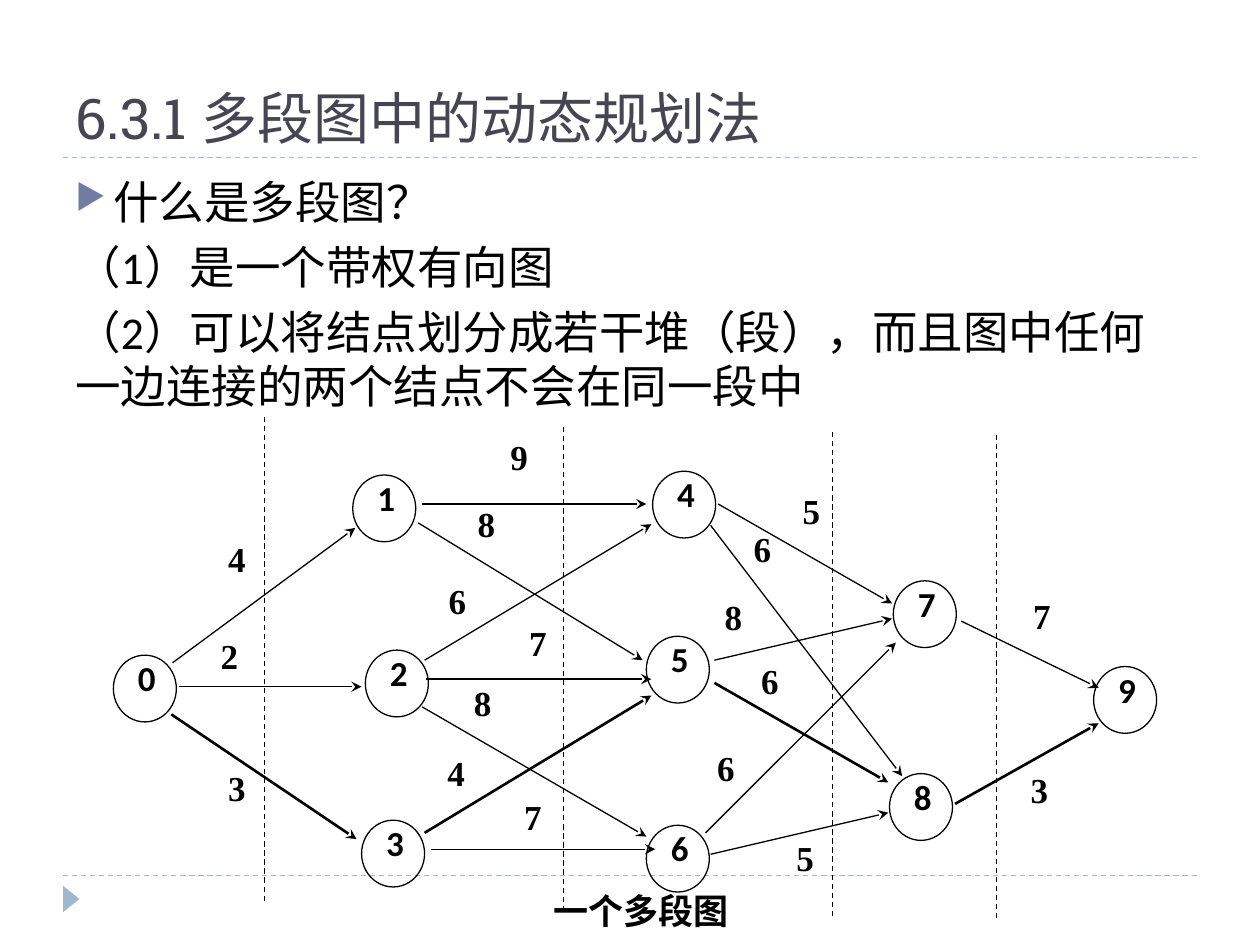
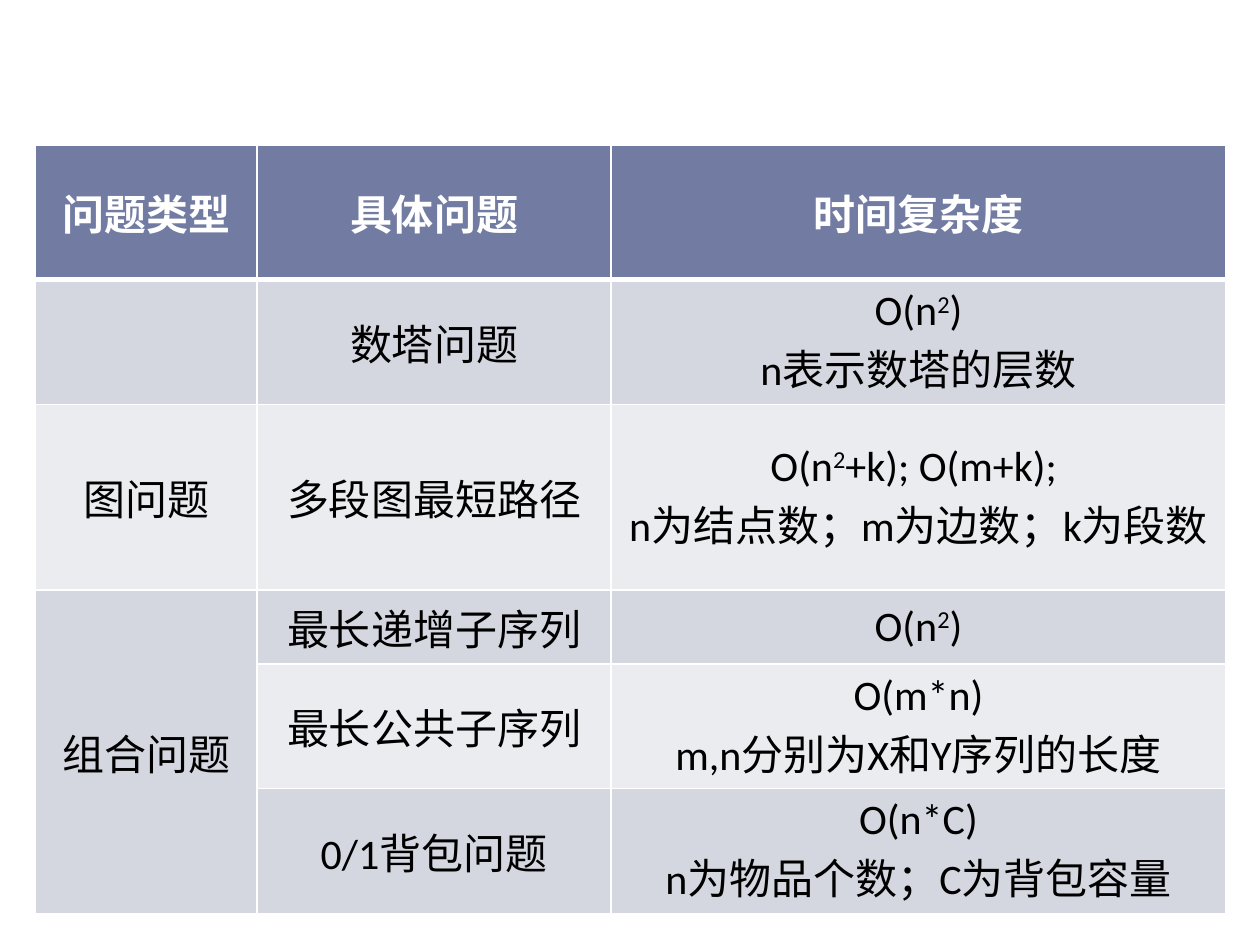
from dataclasses import dataclass

import pptx
import pptx.dml.color
import pptx.enum.dml
import pptx.enum.shapes
import pptx.enum.text
import pptx.oxml
import pptx.oxml.ns
import pptx.util

SHAPE = pptx.enum.shapes.MSO_SHAPE
ANCHOR = pptx.enum.text.MSO_ANCHOR
ALIGN = pptx.enum.text.PP_ALIGN


@dataclass(frozen=True)
class Theme:
    ink: str = "000000"
    white: str = "FFFFFF"
    title: str = "464653"
    accent: str = "727CA3"
    rule: str = "9FB8CD"
    bands: tuple = ("D5D7E0", "EBECF0")
    title_font: str = "Roboto Slab"
    body_font: str = "Calibri"
    label_font: str = "Times New Roman"
    title_size: int = 32
    body_size: int = 26
    table_size: int = 24
    label_size: int = 20
    thin: float = 0.75
    heavy: float = 1.5


def inch(value):
    return pptx.util.Cm(2.54 * value)


def rgb(code):
    return pptx.dml.color.RGBColor.from_string(code)


def add_xml(parent, tag, **attributes):
    """Append a DrawingML element and return it."""
    child = pptx.oxml.parse_xml(f"<a:{tag} {pptx.oxml.ns.nsdecls('a')}/>")
    for name, value in attributes.items():
        child.set(name, str(value))
    parent.append(child)
    return child


class Painter:
    """Holds the style and the current slide."""

    def __init__(self, deck, theme):
        self.deck, self.theme, self.page = deck, theme, None

    def new_page(self, layout_name):
        layout = self.deck.slide_layouts.get_by_name(layout_name)
        self.page = self.deck.slides.add_slide(layout)

    def style(self, para, font, size, color, bold=False, align=ALIGN.CENTER):
        para.alignment = align
        for span in para.runs:
            span.font.name, span.font.size = font, pptx.util.Pt(size)
            span.font.bold, span.font.color.rgb = bold, rgb(color)

    def title(self, text):
        box = self.page.shapes.title
        box.left, box.top, box.width, box.height = map(inch, (0.5, 0.17, 9, 1.08))
        frame = box.text_frame
        frame.text = text
        frame.vertical_anchor = ANCHOR.BOTTOM
        frame.auto_size = pptx.enum.text.MSO_AUTO_SIZE.NONE
        look = self.theme
        self.style(frame.paragraphs[0], look.title_font, look.title_size,
                   look.title, align=ALIGN.LEFT)

    def body(self, lines, area):
        """The first line is a bullet, the others are plain."""
        look = self.theme
        box = self.page.shapes.add_textbox(*map(inch, area))
        frame = box.text_frame
        frame.text = "\n".join(lines)
        frame.word_wrap = True
        for para in frame.paragraphs:
            para.space_before = pptx.util.Pt(6)
            self.style(para, look.body_font, look.body_size, look.ink, align=ALIGN.LEFT)
        bullet = frame.paragraphs[0]._p.get_or_add_pPr()
        bullet.set("marL", str(inch(0.3)))
        bullet.set("indent", str(-inch(0.3)))
        add_xml(add_xml(bullet, "buClr"), "srgbClr", val=look.accent)
        add_xml(bullet, "buSzPct", val=76000)
        add_xml(bullet, "buChar", char="▶")

    def small_text(self, box, text, font, left_inset=0):
        frame = box.text_frame
        frame.text = text
        frame.word_wrap = True
        frame.vertical_anchor = ANCHOR.TOP
        frame.margin_left = inch(left_inset)
        frame.margin_top = frame.margin_right = frame.margin_bottom = 0
        para = frame.paragraphs[0]
        para.line_spacing = 0.8
        self.style(para, font, self.theme.label_size, self.theme.ink, bold=True)

    def label(self, text, left, top, width=0.28, height=0.35, left_inset=0):
        box = self.page.shapes.add_textbox(*map(inch, (left, top, width, height)))
        self.small_text(box, text, self.theme.label_font, left_inset)

    def node(self, text, left, top):
        circle = self.page.shapes.add_shape(SHAPE.OVAL, *map(inch, (left, top, 0.5, 0.53)))
        circle.shadow.inherit = False
        circle.fill.background()
        circle.line.color.rgb = rgb(self.theme.ink)
        circle.line.width = pptx.util.Pt(self.theme.thin)
        self.small_text(circle, text, self.theme.body_font, 0.03)

    def line(self, start, end, color=None, heavy=False, dashed=False, arrow=False):
        link = self.page.shapes.add_connector(
            pptx.enum.shapes.MSO_CONNECTOR.STRAIGHT, *map(inch, (*start, *end)))
        link.line.color.rgb = rgb(color or self.theme.ink)
        link.line.width = pptx.util.Pt(self.theme.heavy if heavy else self.theme.thin)
        if dashed:
            link.line.dash_style = pptx.enum.dml.MSO_LINE.DASH
        if arrow:
            add_xml(link.line._get_or_add_ln(), "tailEnd", type="stealth")
        add_xml(link.element.spPr, "effectLst")
        return link

    def master_frame(self):
        """Draw the two rules and the corner mark, then move them to the master."""
        color = self.theme.rule
        parts = [self.line((0.5, y), (9.5, y), color, dashed=True) for y in (6.95, 1.25)]
        mark = self.page.shapes.add_shape(
            SHAPE.ISOSCELES_TRIANGLE, *map(inch, (0.46, 7.07, 0.21, 0.13)))
        mark.rotation = 90
        mark.shadow.inherit = False
        mark.fill.solid()
        mark.fill.fore_color.rgb = rgb(color)
        mark.line.fill.background()
        tree = self.deck.slide_master.shapes.element
        for number, part in enumerate(parts + [mark], 101):
            part.element.xpath(".//p:cNvPr")[0].set("id", str(number))
            tree.append(part.element)

    def cell(self, cell, text, fill, color, bold, bottom):
        """Text between ^ signs is raised."""
        look = self.theme
        frame = cell.text_frame
        for index, line in enumerate(text.split("\n") if text else []):
            para = frame.add_paragraph() if index else frame.paragraphs[0]
            for place, piece in enumerate(line.split("^")):
                span = para.add_run()
                span.text = piece
                if place % 2:
                    span._r.get_or_add_rPr().set("baseline", "30000")
            self.style(para, look.body_font, look.table_size, color, bold)
        cell.vertical_anchor = ANCHOR.MIDDLE
        properties = cell._tc.get_or_add_tcPr()
        for side in "LRTB":
            width = pptx.util.Pt(bottom if side == "B" else 1)
            border = add_xml(properties, "ln" + side, w=int(width))
            add_xml(add_xml(border, "solidFill"), "srgbClr", val=look.white)
        cell.fill.solid()
        cell.fill.fore_color.rgb = rgb(fill)

    def table(self, rows, area, widths, heights):
        look = self.theme
        grid = self.page.shapes.add_table(
            len(rows), len(widths), *map(inch, area)).table
        grid.horz_banding = False
        for column, width in zip(grid.columns, widths):
            column.width = inch(width)
        for number, (row, height, texts) in enumerate(zip(grid.rows, heights, rows)):
            row.height = inch(height)
            head = number == 0
            fill = look.accent if head else look.bands[(number - 1) % 2]
            color = look.white if head else look.ink
            for cell, text in zip(row.cells, texts):
                self.cell(cell, text, fill, color, head, 3 if head else 1)
        return grid


# Multistage graph: place of each node
NODES = [(0.9, 5.2), (2.8, 3.77), (2.9, 5.16), (2.87, 6.51), (5.18, 3.74),
         (5.13, 5.05), (5.13, 6.55), (7.09, 4.61), (7.06, 6.14), (8.68, 5.29)]

# Edges: start, end, weight, place of the weight
EDGES = [
    ((1.37, 5.26), (2.82, 4.19), 4, (1.74, 4.33)),
    ((1.42, 5.45), (2.87, 5.45), 2, (1.68, 5.1)),
    ((3.35, 4), (5.13, 4), 9, (3.98, 3.52)),
    ((3.32, 4.15), (5.1, 5.24), 8, (3.72, 4.05)),
    ((3.37, 5.24), (5.17, 4.16), 6, (3.49, 4.66)),
    ((3.38, 5.39), (5.17, 5.39), 7, (4.13, 5)),
    ((3.35, 5.61), (5.13, 6.64), 8, (3.69, 5.47)),
    ((3.42, 6.74), (5.2, 6.74), 7, (4.09, 6.38)),
    ((5.7, 4), (7.08, 4.79), 5, (6.3, 3.95)),
    ((5.64, 4.17), (7.16, 6.16), 6, (5.91, 4.25)),
    ((5.67, 5.24), (7.08, 4.91), 8, (5.68, 4.79)),
    ((5.6, 6.61), (7.11, 5.1), 6, (5.62, 5.99)),
    ((5.64, 6.78), (7.05, 6.45), 5, (6.25, 6.7)),
    ((7.63, 4.93), (8.72, 5.46), 7, (8.13, 4.78)),
]
SHORTEST_PATH = [
    ((1.36, 5.67), (2.83, 6.66), 3, (1.74, 6.15)),
    ((3.37, 6.61), (5.17, 5.52), 4, (3.48, 6.03)),
    ((5.67, 5.42), (7.05, 6.21), 6, (5.97, 5.3)),
    ((7.58, 6.38), (8.72, 5.74), 3, (8.11, 6.16)),
]
STAGE_CUTS = [(2.1, 3.31), (4.47, 3.39), (6.61, 3.43), (7.91, 3.45)]

COMPLEXITY = [
    ("问题类型", "具体问题", "时间复杂度"),
    ("", "数塔问题", "O(n^2^)\nn表示数塔的层数"),
    ("图问题", "多段图最短路径", "O(n^2^+k); O(m+k); \nn为结点数；m为边数；k为段数"),
    ("组合问题", "最长递增子序列", "O(n^2^)"),
    ("", "最长公共子序列", "O(m*n)\nm,n分别为X和Y序列的长度"),
    ("", "0/1背包问题", "O(n*C)\nn为物品个数；C为背包容量"),
]


def graph_page(painter):
    painter.new_page("Title Only")
    painter.master_frame()
    painter.title("6.3.1 多段图中的动态规划法")
    painter.body(["什么是多段图？", "（1）是一个带权有向图",
                  "（2）可以将结点划分成若干堆（段），而且图中任何一边连接的两个结点不会在同一段中"],
                 (0.5, 1.33, 9, 5.4))
    for number, place in enumerate(NODES):
        painter.node(str(number), *place)
    for edges, heavy in ((EDGES, False), (SHORTEST_PATH, True)):
        for start, end, weight, place in edges:
            painter.line(start, end, heavy=heavy, arrow=True)
            painter.label(str(weight), *place)
    for x, top in STAGE_CUTS:
        painter.line((x, top), (x, top + 3.84), dashed=True)
    painter.label("一个多段图", 2.8, 7.12, 4.2, 0.41, left_inset=0.38)


def complexity_page(painter):
    painter.new_page("Blank")
    grid = painter.table(COMPLEXITY, (0.28, 1.15, 9.45, 5.2), (1.76, 2.81, 4.88),
                         (1.07, 0.86, 0.86, 0.53, 0.86, 0.86))
    grid.cell(3, 0).merge(grid.cell(5, 0))


def main():
    deck = pptx.Presentation()
    deck.slide_width, deck.slide_height = inch(10), inch(7.5)
    painter = Painter(deck, Theme())
    graph_page(painter)
    complexity_page(painter)
    deck.save("out.pptx")


if __name__ == "__main__":
    main()
